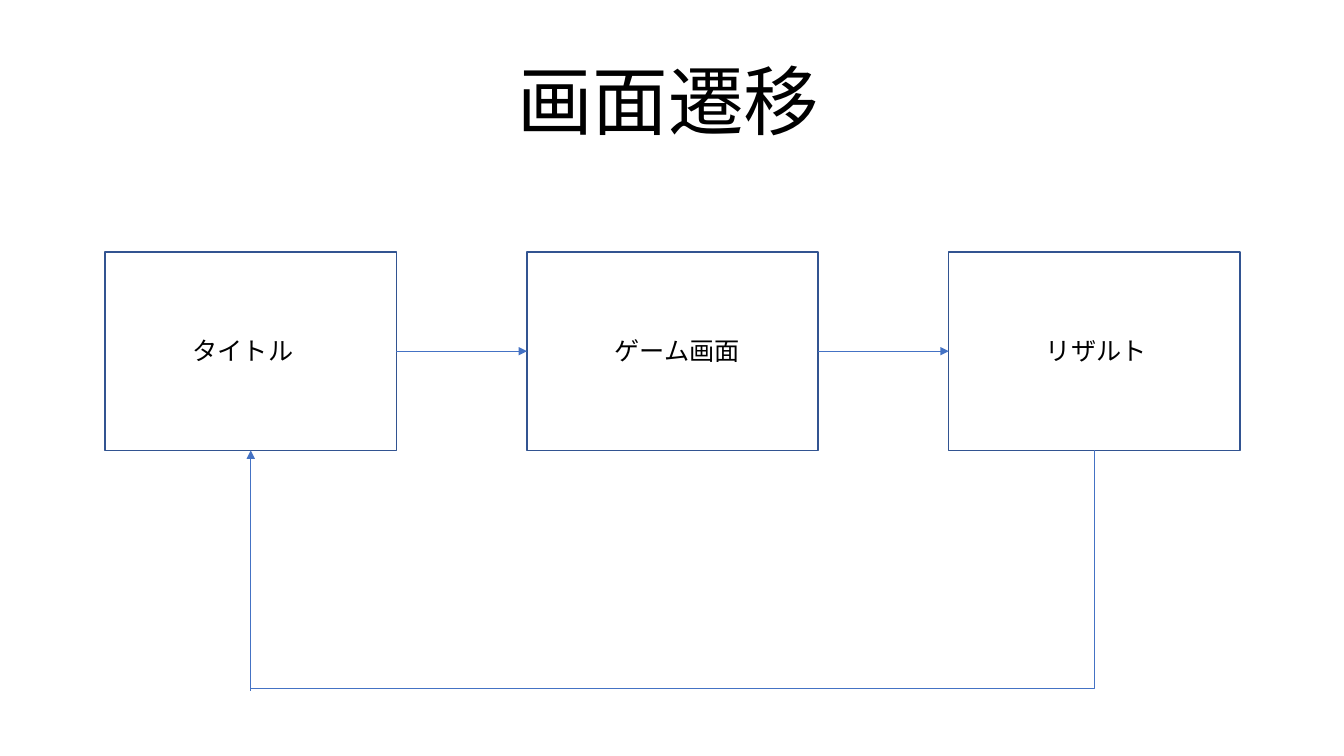
"""Build a slide showing the screen flow of a game: title, game and result."""
from lxml import etree
from pptx import Presentation
from pptx.dml.color import RGBColor
from pptx.enum.shapes import MSO_CONNECTOR, MSO_SHAPE
from pptx.enum.text import MSO_AUTO_SIZE
from pptx.oxml.ns import qn
from pptx.util import Cm, Pt

RECTANGLE = MSO_SHAPE.RECTANGLE
STRAIGHT = MSO_CONNECTOR.STRAIGHT
ELBOW = MSO_CONNECTOR.ELBOW
GROW = MSO_AUTO_SIZE.SHAPE_TO_FIT_TEXT
FONT = "Noto Sans CJK JP"
COLORS = {"text": "000000", "fill": "FFFFFF", "border": "325491", "arrow": "4472C4"}

BOX_LEFT, BOX_TOP, BOX_WIDTH, BOX_HEIGHT = 2.65, 6.35, 7.34, 5
BOX_STEP = 10.63
BOX_MIDDLE = BOX_TOP + BOX_HEIGHT / 2
BOX_BOTTOM = BOX_TOP + BOX_HEIGHT
RETURN_DEPTH = 6
SCREENS = [("タイトル", 4.6), ("ゲーム画面", 15.24), ("リザルト", 26.11)]

deck = Presentation()
deck.slide_width, deck.slide_height = Cm(33.87), Cm(19.05)
page = deck.slides.add_slide(deck.slide_layouts[6])


def add_text(text, *, left, top, width, height, size):
    """Place one line of text."""
    box = page.shapes.add_textbox(Cm(left), Cm(top), Cm(width), Cm(height))
    box.text_frame.word_wrap = True
    box.text_frame.auto_size = GROW
    para = box.text_frame.paragraphs[0]
    span = para.add_run()
    span.text = text
    span.font.size = Pt(size)
    span.font.color.rgb = RGBColor.from_string(COLORS["text"])
    span.font.name = FONT
    properties = span.font._element
    etree.SubElement(properties, qn("a:ea")).set("typeface", FONT)


def add_line(kind, start, end, arrow=False):
    """Draw a thin connector, with an arrowhead at its end if asked."""
    line = page.shapes.add_connector(kind, *map(Cm, start + end))
    line.line.color.rgb = RGBColor.from_string(COLORS["arrow"])
    line.line.width = Pt(0.5)
    if arrow:
        outline = line.line._get_or_add_ln()
        etree.SubElement(outline, qn("a:tailEnd")).set("type", "triangle")
    etree.SubElement(line._element.spPr, qn("a:effectLst"))
    return line


lefts = [BOX_LEFT + index * BOX_STEP for index in range(len(SCREENS))]

for left in lefts:
    screen = page.shapes.add_shape(
        RECTANGLE, Cm(left), Cm(BOX_TOP), Cm(BOX_WIDTH), Cm(BOX_HEIGHT))
    screen.shadow.inherit = False
    screen.fill.solid()
    screen.fill.fore_color.rgb = RGBColor.from_string(COLORS["fill"])
    screen.line.color.rgb = RGBColor.from_string(COLORS["border"])
    screen.line.width = Pt(1)

for left, following in zip(lefts, lefts[1:]):
    add_line(STRAIGHT, (left + BOX_WIDTH, BOX_MIDDLE), (following, BOX_MIDDLE), arrow=True)

for name, left in SCREENS:
    add_text(name, left=left, top=8.33, width=3.73, height=1.02, size=18)

title_center = lefts[0] + BOX_WIDTH / 2
result_center = lefts[-1] + BOX_WIDTH / 2
span_width = result_center - title_center
middle_x = (title_center + result_center) / 2
middle_y = BOX_BOTTOM + RETURN_DEPTH / 2
return_line = add_line(
    ELBOW,
    (middle_x - RETURN_DEPTH / 2, middle_y - span_width / 2),
    (middle_x + RETURN_DEPTH / 2, middle_y + span_width / 2))
geometry = return_line._element.spPr
geometry.find(qn("a:xfrm")).set("rot", "5400000")
geometry.find(qn("a:prstGeom")).set("prst", "bentConnector2")

add_line(STRAIGHT, (title_center, BOX_BOTTOM + RETURN_DEPTH + 0.05),
         (title_center, BOX_BOTTOM), arrow=True)

add_text("画面遷移", left=12.78, top=1.24, width=15.67, height=2.57, size=54)

deck.save("out.pptx")
